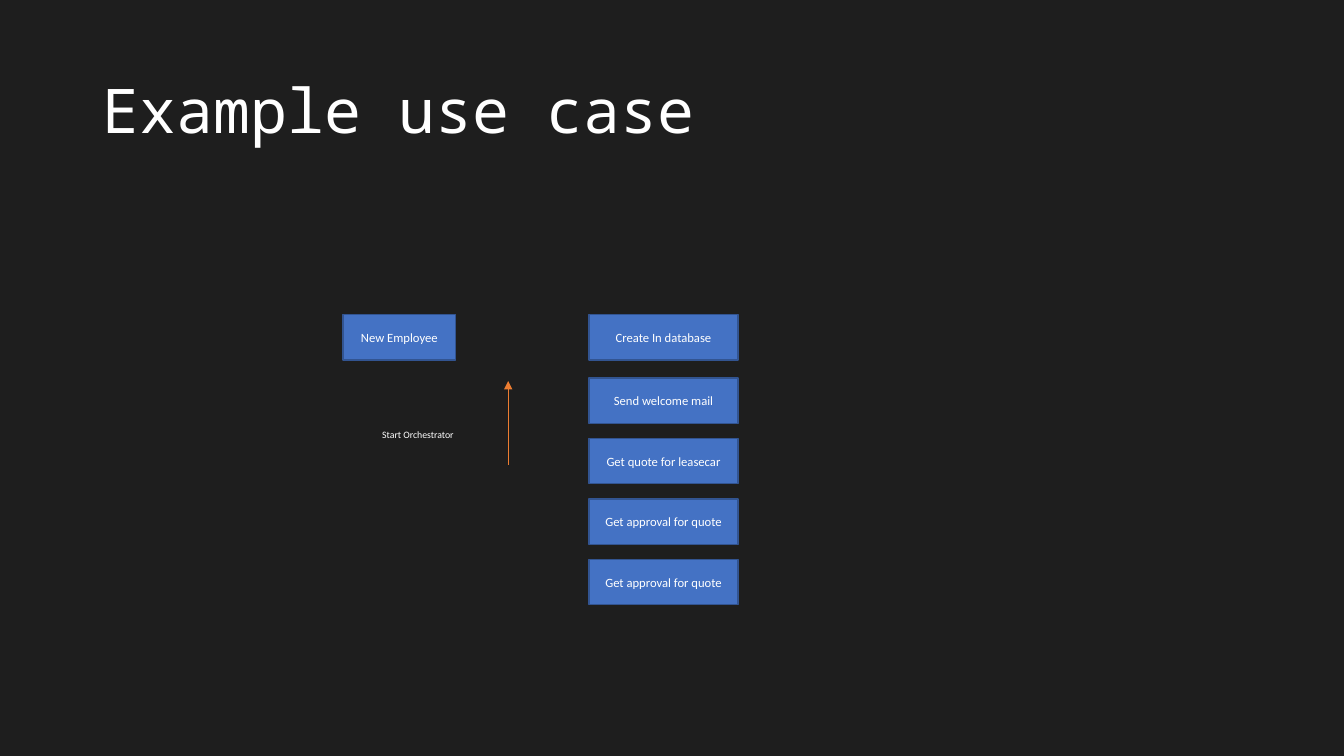
from lxml.etree import SubElement
from pptx import Presentation
from pptx.dml.color import RGBColor
from pptx.enum.shapes import MSO_CONNECTOR as CONNECTOR, MSO_SHAPE as SHAPE
from pptx.enum.text import MSO_ANCHOR as ANCHOR, PP_ALIGN as ALIGN
from pptx.oxml.ns import qn
from pptx.util import Inches, Pt

BACKGROUND = RGBColor(0x1E, 0x1E, 0x1E)
WHITE = RGBColor(0xFF, 0xFF, 0xFF)
BLUE = RGBColor(0x44, 0x72, 0xC4)
DARK_BLUE = RGBColor(0x32, 0x54, 0x91)
ORANGE = RGBColor(0xED, 0x7D, 0x31)

TOP_ROW = 3.12
STEP_LEFT, STEP_WIDTH = 5.84, 1.48
SECOND_ROW, ROW_PITCH = 3.75, 0.6
FOLLOWING_STEPS = [
    "Send welcome mail",
    "Get quote for leasecar",
    "Get approval for quote",
    "Get approval for quote",
]


def write_text(shape, text, size, font_name="Calibri", align=ALIGN.CENTER):
    """Put one vertically centred white paragraph in a shape and return it."""
    frame = shape.text_frame
    frame.word_wrap = True
    frame.vertical_anchor = ANCHOR.MIDDLE
    paragraph = frame.paragraphs[0]
    paragraph.text = text
    paragraph.alignment = align
    paragraph.font.name = font_name
    paragraph.font.size = Pt(size)
    paragraph.font.color.rgb = WHITE
    return paragraph


def add_box(slide, text, left, top, width):
    """Add a blue activity box."""
    shape = slide.shapes.add_shape(
        SHAPE.RECTANGLE, Inches(left), Inches(top), Inches(width), Inches(0.45)
    )
    shape.shadow.inherit = False
    shape.fill.solid()
    shape.fill.fore_color.rgb = BLUE
    shape.line.color.rgb = DARK_BLUE
    shape.line.width = Pt(1)
    write_text(shape, text, 9)


def add_label(slide, text, left, top, width, height, size, **style):
    """Add a text box and return its paragraph."""
    shape = slide.shapes.add_textbox(
        Inches(left), Inches(top), Inches(width), Inches(height)
    )
    return write_text(shape, text, size, **style)


def add_arrow(slide, x, start_y, end_y):
    """Add a thin vertical orange arrow."""
    arrow = slide.shapes.add_connector(
        CONNECTOR.STRAIGHT, Inches(x), Inches(start_y), Inches(x), Inches(end_y)
    )
    arrow.line.color.rgb = ORANGE
    arrow.line.width = Pt(0.5)
    SubElement(arrow.line._get_or_add_ln(), qn("a:tailEnd"), type="triangle")
    SubElement(arrow._element.spPr, qn("a:effectLst"))


def main():
    """Build the use case slide and save it."""
    presentation = Presentation()
    presentation.slide_width = Inches(13.33)
    presentation.slide_height = Inches(7.5)
    slide = presentation.slides.add_slide(presentation.slide_layouts[6])
    slide.background.fill.solid()
    slide.background.fill.fore_color.rgb = BACKGROUND

    add_box(slide, "New Employee", 3.4, TOP_ROW, 1.12)
    add_arrow(slide, 5.04, 4.61, 3.78)
    add_label(slide, "Start Orchestrator", 3.65, 4.2, 0.99, 0.22, 7)
    title = add_label(
        slide, "Example use case", 0.92, 0.4, 11.5, 1.45, 44,
        font_name="Noto Sans Mono", align=ALIGN.LEFT,
    )
    title.line_spacing = 0.9

    add_box(slide, "Create In database", STEP_LEFT, TOP_ROW, STEP_WIDTH)
    for row, step in enumerate(FOLLOWING_STEPS):
        add_box(slide, step, STEP_LEFT, SECOND_ROW + row * ROW_PITCH, STEP_WIDTH)

    presentation.save("out.pptx")


if __name__ == "__main__":
    main()
